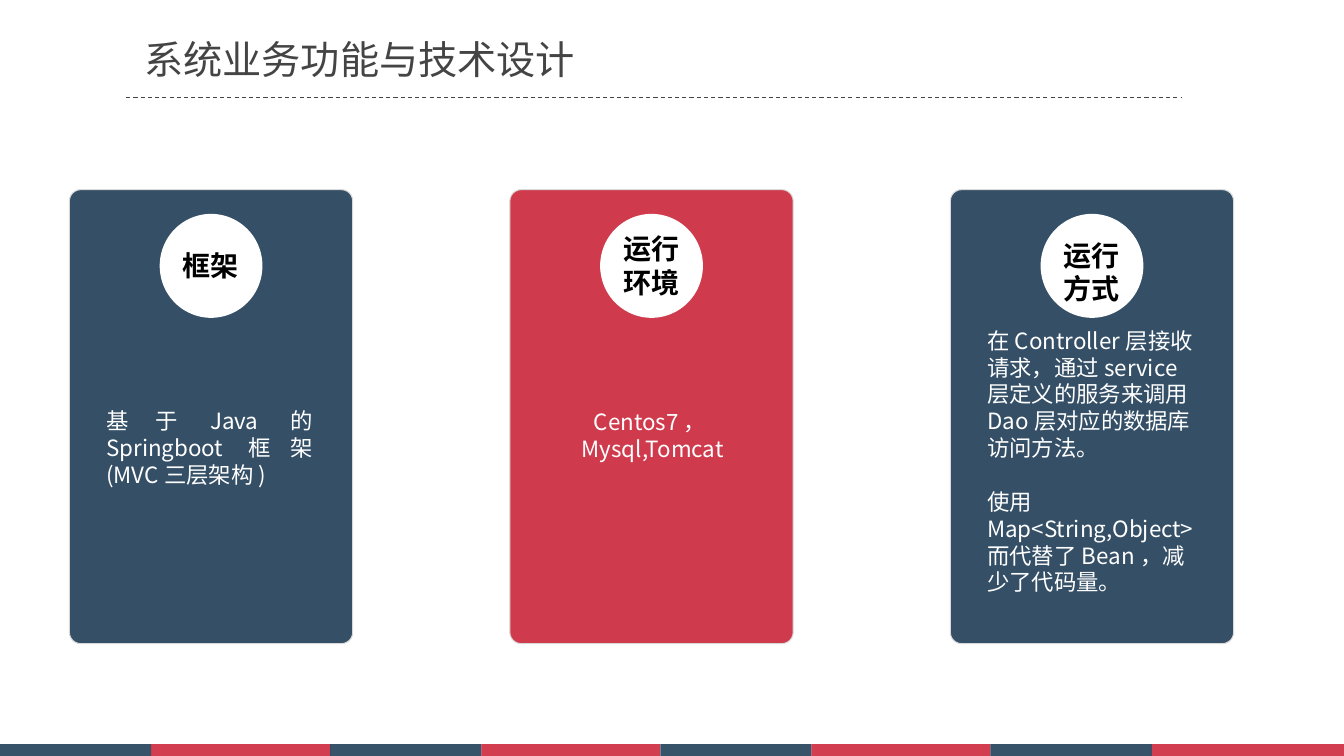
from lxml import etree
from pptx import Presentation
from pptx import util as u
from pptx.dml.color import RGBColor
from pptx.enum import dml, shapes, text
from pptx.oxml import ns

FONT = "Noto Sans CJK SC"
COLORS = {
    "navy": "344F66", "red": "CF3B4C", "white": "FFFFFF", "black": "000000",
    "grey": "444444", "edge": "D9D9D9", "deep_navy": "062845", "deep_red": "C70E23",
}
ALIGN = text.PP_ALIGN


def rgb(name):
    return RGBColor.from_string(COLORS[name])


def add_block(slide, preset, left, top, width, height, color, edge=None, alpha=None):
    block = slide.shapes.add_shape(preset, u.Cm(left), u.Cm(top), u.Cm(width), u.Cm(height))
    block.shadow.inherit = False
    block.fill.solid()
    block.fill.fore_color.rgb = rgb(color)
    if alpha:
        tint = block.fill._xPr.find(".//" + ns.qn("a:srgbClr"))
        etree.SubElement(tint, ns.qn("a:alpha"), val=str(alpha * 1000))
    if edge:
        block.line.color.rgb = rgb(edge)
        block.line.width = u.Pt(0)
    else:
        block.line.fill.background()
    return block


def add_text(slide, lines, left, top, width, height, *, size, color, bold=False,
             align=ALIGN.LEFT, wrap=True, inset=True, gap=0):
    box = slide.shapes.add_textbox(u.Cm(left), u.Cm(top), u.Cm(width), u.Cm(height))
    frame = box.text_frame
    frame.word_wrap = wrap
    if not inset:
        frame.margin_left = frame.margin_right = frame.margin_top = frame.margin_bottom = 0
    for index, line in enumerate(lines):
        paragraph = frame.add_paragraph() if index else frame.paragraphs[0]
        paragraph.alignment = align
        if index and gap:
            paragraph.space_before = u.Pt(gap)
        run = paragraph.add_run()
        run.text = line
        run.font.size = u.Pt(size)
        run.font.bold = bold
        run.font.name = FONT
        run.font.color.rgb = rgb(color)
        etree.SubElement(run.font._element, ns.qn("a:ea"), typeface=FONT)


def add_header(slide, left, top, width):
    rule_y = u.Cm(top + 1.57)
    rule = slide.shapes.add_connector(
        shapes.MSO_CONNECTOR.STRAIGHT, u.Cm(left), rule_y, u.Cm(left + width), rule_y)
    rule.line.color.rgb = rgb("grey")
    rule.line.width = u.Pt(0.75)
    rule.line.dash_style = dml.MSO_LINE.DASH
    etree.SubElement(rule._element.spPr, ns.qn("a:effectLst"))
    add_text(slide, ["系统业务功能与技术设计"], left + 0.46, top, 14.63, 1.19,
             size=28, color="grey", inset=False)


def add_footer(slide, top, height):
    left = 0
    for navy_width, red_width in [(3.81, 4.51)] * 3 + [(4.07, 4.84)]:
        for color, width in (("deep_navy", navy_width), ("deep_red", red_width)):
            add_block(slide, shapes.MSO_SHAPE.RECTANGLE, left, top, width, height,
                      color, alpha=80)
            left += width


def add_card(slide, left, top, width, height, *, color, label, label_drop, body,
             body_top, body_height, align):
    card = add_block(slide, shapes.MSO_SHAPE.ROUNDED_RECTANGLE, left, top, width, height,
                     color, edge="edge")
    card.adjustments[0] = 0.04
    badge_width, badge_height = 2.59, 2.62
    badge_top = top + 0.61
    add_block(slide, shapes.MSO_SHAPE.OVAL, left + (width - badge_width) / 2, badge_top,
              badge_width, badge_height, "white")
    label_width, label_height = 1.93, 0.28 + 0.84 * len(label)
    add_text(slide, label, left + (width - label_width) / 2,
             badge_top + (badge_height - label_height) / 2 + label_drop,
             label_width, label_height, size=20, color="black", bold=True, wrap=False)
    add_text(slide, body, left + 0.68, top + body_top, width - 1.3, body_height,
             size=16, color="white", align=align, gap=19.2)


def main():
    deck = Presentation()
    deck.slide_width, deck.slide_height = u.Cm(33.87), u.Cm(19.05)
    slide = deck.slides.add_slide(deck.slide_layouts[6])
    add_footer(slide, 18.75, 0.3)
    add_header(slide, 3.18, 0.89, 26.59)
    cards = [
        dict(color="navy", label=["框架"], label_drop=0,
             body=["基于Java的Springboot框架(MVC三层架构)"],
             body_top=5.36, body_height=2.31, align=ALIGN.JUSTIFY),
        dict(color="red", label=["运行", "环境"], label_drop=0,
             body=["Centos7，Mysql,Tomcat"],
             body_top=5.38, body_height=1.63, align=ALIGN.CENTER),
        dict(color="navy", label=["运行", "方式"], label_drop=0.16,
             body=["在Controller层接收请求，通过service层定义的服务来调用Dao层对应的数据库访问方法。",
                   "使用Map<String,Object>而代替了Bean，减少了代码量。"],
             body_top=3.33, body_height=7.09, align=ALIGN.LEFT),
    ]
    for index, card in enumerate(cards):
        add_card(slide, 1.75 + 11.1 * index, 4.78, 7.14, 11.44, **card)
    deck.save("out.pptx")


if __name__ == "__main__":
    main()
